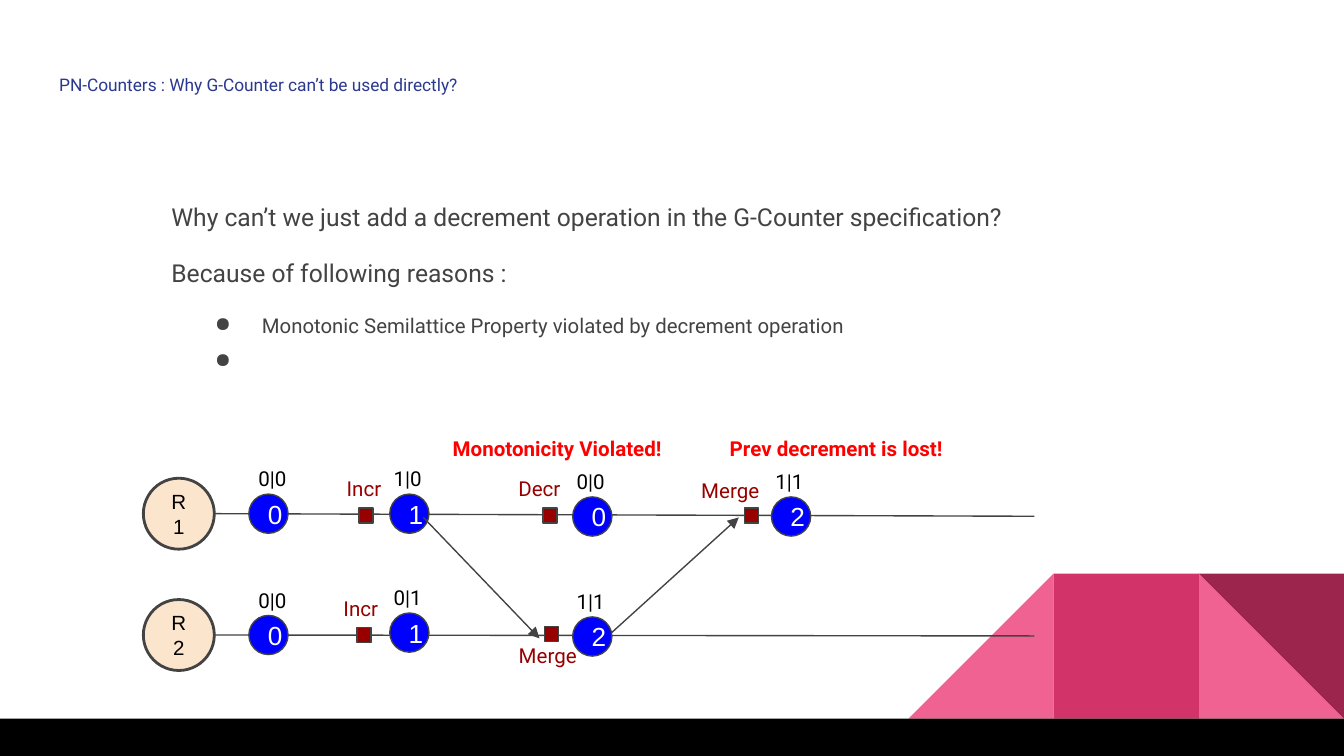
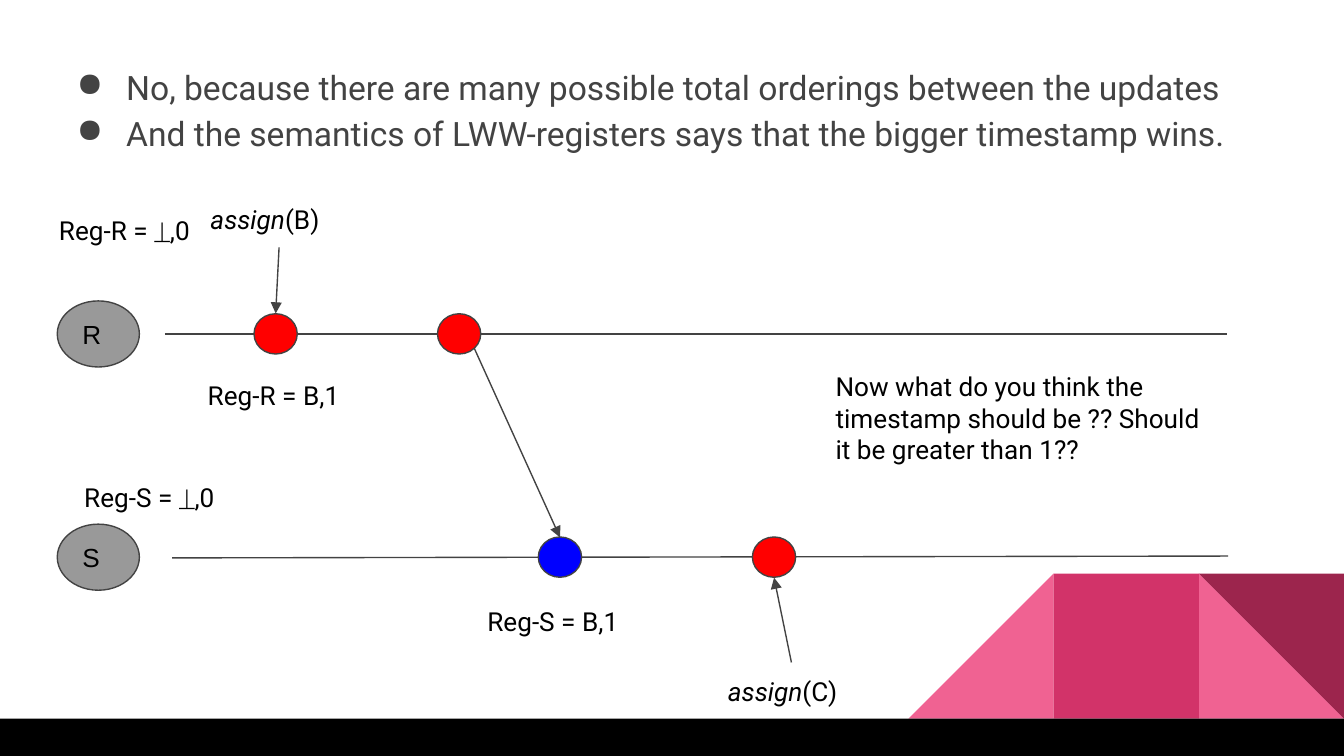
from lxml.etree import SubElement
from pptx import Presentation
from pptx.dml.color import RGBColor
from pptx.enum.shapes import MSO_CONNECTOR, MSO_SHAPE
from pptx.enum.text import MSO_ANCHOR, MSO_AUTO_SIZE, PP_ALIGN
from pptx.oxml.ns import qn
from pptx.util import Pt

WIDE, HIGH = 720, 405
PAD = 7.2
BLACK, WHITE, GREY = "000000", "FFFFFF", "434343"
RED, BLUE, WINE = "FF0000", "0000FF", "980000"
NAVY, PEACH, STONE = "2A3990", "FCE5CD", "999999"
PINK, ROSE, PLUM = "F06292", "D23369", "9C254D"


def tint(code):
    return RGBColor.from_string(code)


def style(run, size, hue, font="Roboto", bold=False, slant=False):
    run.font.size, run.font.name = Pt(size), font
    run.font.color.rgb = tint(hue)
    run.font.bold, run.font.italic = bold, slant


def inset(frame, right=PAD):
    frame.word_wrap = True
    frame.margin_left = frame.margin_top = frame.margin_bottom = Pt(PAD)
    frame.margin_right = Pt(right)


def shape(slide, kind, box, fill, edge=0):
    """Draw a preset shape; edge is the outline width, 0 for none."""
    item = slide.shapes.add_shape(kind, *map(Pt, box))
    item.shadow.inherit = False
    item.fill.solid()
    item.fill.fore_color.rgb = tint(fill)
    if edge:
        item.line.color.rgb = tint(GREY)
        item.line.width = Pt(edge)
    else:
        item.line.fill.background()
    return item


def disc(slide, mid, size, fill, text="", pen=(14, BLACK), edge=0.75,
         align=PP_ALIGN.CENTER, right=PAD):
    """Draw an ellipse about its centre, with an optional short name."""
    (x, y), (w, h) = mid, size
    item = shape(slide, MSO_SHAPE.OVAL, (x - w / 2, y - h / 2, w, h), fill, edge)
    if text:
        frame = item.text_frame
        inset(frame, right)
        frame.vertical_anchor = MSO_ANCHOR.MIDDLE
        frame.text = text
        frame.paragraphs[0].alignment = align
        style(frame.paragraphs[0].runs[0], *pen, font="Arial")


def line(slide, start, end, arrow=False):
    item = slide.shapes.add_connector(
        MSO_CONNECTOR.STRAIGHT, *map(Pt, start + end))
    item.line.color.rgb = tint(GREY)
    item.line.width = Pt(0.75)
    props = item.element.spPr
    if arrow:
        SubElement(props.find(qn("a:ln")), qn("a:tailEnd"), type="triangle")
    SubElement(props, qn("a:effectLst"))


def label(slide, box, text, size=11, hue=BLACK, bold=False, lead=""):
    """Write a one-paragraph text; lead is an italic start."""
    frame = slide.shapes.add_textbox(*map(Pt, box)).text_frame
    inset(frame)
    frame.auto_size = MSO_AUTO_SIZE.SHAPE_TO_FIT_TEXT
    para = frame.paragraphs[0]
    if lead:
        para.text = lead
        style(para.runs[0], size, hue, slant=True)
    run = para.add_run()
    run.text = text
    style(run, size, hue, bold=bold)


def body(slide, box, rows, size, space):
    frame = slide.shapes.add_textbox(*map(Pt, box)).text_frame
    inset(frame)
    frame.text = "\n".join(rows)
    for para in frame.paragraphs:
        para.line_spacing = space
        style(para.runs[0], size, GREY)
    return frame


def bullet(para, hang):
    props = para._p.get_or_add_pPr()
    props.set("marL", str(Pt(36)))
    props.set("indent", str(-Pt(hang)))
    SubElement(SubElement(props, qn("a:buClr")), qn("a:srgbClr"), val=GREY)
    SubElement(props, qn("a:buChar"), char="●")


def base(slide):
    """Draw the folded band in the corner and the black floor."""
    side, floor = 77.76, 385
    top = floor - side
    left, mid, right = (WIDE - n * side for n in (3, 2, 1))
    fold = MSO_SHAPE.RIGHT_TRIANGLE
    shape(slide, fold, (right, top, side, side), PINK)
    slope = shape(slide, fold, (left, top, side, side), PINK)
    slope.element.spPr.find(qn("a:xfrm")).set("flipH", "1")
    shape(slide, MSO_SHAPE.RECTANGLE, (mid, top, side, side), ROSE)
    shape(slide, fold, (right, top, side, side), PLUM).rotation = 180
    shape(slide, MSO_SHAPE.RECTANGLE, (0, floor, WIDE, HIGH - floor), BLACK)


def title(slide, box, text):
    item = slide.shapes.title
    item.left, item.top, item.width, item.height = map(Pt, box)
    frame = item.text_frame
    inset(frame)
    frame.auto_size = MSO_AUTO_SIZE.NONE
    frame.vertical_anchor = MSO_ANCHOR.TOP
    frame.text = text
    frame.paragraphs[0].alignment = PP_ALIGN.LEFT
    style(frame.paragraphs[0].runs[0], 9.3, NAVY)


def track(slide, x, y, name, drop, states, marks):
    """Draw a replica at (x, y), its time line, states and operations."""
    disc(slide, (x, y), (38, 38), PEACH, name, (11, BLACK), 1.5)
    line(slide, (x + 19, y), (x + 458.4, y + drop))
    for dx, dy, count, pair, shift in states:
        disc(slide, (x + dx, y + dy), (21, 21), BLUE, count, (14, WHITE), right=0)
        label(slide, (x + dx - shift, y + dy - 32, 43, 27.4), pair)
    for dx, dy, word, lx, ly in marks:
        shape(slide, MSO_SHAPE.FLOWCHART_PROCESS,
              (x + dx, y + dy, 7.5, 8), WINE, 0.75)
        wide = 55 if word == "Merge" else 43
        label(slide, (x + dx - lx, y + dy + ly, wide, 27.4), word, hue=WINE)


def merge(slide, x, y):
    """Draw both replicas, their messages and the two warnings."""
    track(slide, x, y, "R1", 1.4,
          [(48, 0, "0", "0|0", 12.5), (123.5, 0, "1", "1|0", 15.5),
           (221.5, 1.5, "0", "0|0", 15.5), (328, 1.5, "2", "1|1", 15.5)],
          [(96.5, -3, "Incr", 13.7, -23.8), (195, -3, "Decr", 20.2, -23.8),
           (303, -3, "Merge", 30.2, -23)])
    track(slide, x, y + 65, "R2", 0.5,
          [(48, 0, "0", "0|0", 12.5), (123.5, -1.3, "1", "0|1", 15.5),
           (221.5, 0.8, "2", "1|1", 15.5)],
          [(95.5, -4, "Incr", 14.4, -23.8), (196, -4.5, "Merge", 21, 2.2)])
    line(slide, (x + 131, y + 2), (x + 193.2, y + 66.8), True)
    line(slide, (x + 231.6, y + 64), (x + 300, y + 2), True)
    for dx, text in (139.6, "Monotonicity Violated!"), (288, "Prev decrement is lost!"):
        label(slide, (x + dx, y - 48.4, 137, 27.4), text, hue=RED, bold=True)


def count(deck):
    slide = deck.slides.add_slide(deck.slide_layouts[5])
    base(slide)
    title(slide, (24.5, 32.4, 671, 47.5),
          "PN-Counters : Why G-Counter can’t be used directly?")
    rows = ["Monotonic Semilattice Property violated by decrement operation", " "]
    for para in body(slide, (97.2, 154, 492, 57), rows, 10.9, 1.5).paragraphs:
        bullet(para, 25.2)
    rows = ["Why can’t we just add a decrement operation in the G-Counter specification?",
            "Because of following reasons :"]
    last = body(slide, (84.7, 98.5, 492, 63), rows, 13.2, 1.15).paragraphs[1]
    last.space_before = last.space_after = Pt(12)
    merge(slide, 95.8, 275.2)


def lane(slide, x, y, name, start, end, spots):
    """Draw a register at (x, y), its time line and its events."""
    line(slide, (x + start[0], y + start[1]), (x + end[0], y + end[1]))
    disc(slide, (x, y), (44, 35.4), STONE, name, align=PP_ALIGN.LEFT)
    for dx, hue in spots:
        disc(slide, (x + dx, y), (23.2, 21.6), hue)


def clock(slide, x, y):
    """Draw the two registers, the message and the notes beside them."""
    lane(slide, x, y, "R", (35.7, 0), (604.5, 0), [(95, RED), (193.3, RED)])
    lane(slide, x, y + 119.6, "S", (39.5, 0.4), (605.3, -0.6),
         [(247.3, BLUE), (362, RED)])
    for start, end in [((96.8, -46.3), (95, -11)),
                       ((201.3, 7.5), (247.3, 109)),
                       ((371.3, 176), (362, 130.6))]:
        line(slide, (x + start[0], y + start[1]), (x + end[0], y + end[1]), True)
    notes = [(53, -77.4, 88, "(B)", "assign"),
             (51.5, 17, 88, "Reg-R = B,1", ""),
             (201.3, 138, 88, "Reg-S = B,1", ""),
             (330.2, 176, 83, "(C)", "assign"),
             (-14.7, 71.7, 99, "Reg-S = ⏊,0", ""),
             (387.8, 12.5, 217, "Now what do you think the timestamp should be ?? "
              "Should it be greater than 1??", "")]
    for dx, dy, wide, text, lead in notes:
        label(slide, (x + dx, y + dy, wide, 31), text, 14, lead=lead)


def order(deck):
    slide = deck.slides.add_slide(deck.slide_layouts[6])
    base(slide)
    rows = ["No, because there are many possible total orderings between the updates",
            "And the semantics of LWW-registers says that the bigger timestamp wins.",
            "Reg-R = ⏊,0"]
    *points, last = body(slide, (24.5, 25.2, 671, 335), rows, 18, 1.15).paragraphs
    for para in points:
        bullet(para, 26.6)
    last.line_spacing, last.space_before = 1, Pt(33)
    style(last.runs[0], 14, BLACK)
    clock(slide, 52.7, 178.9)


def main():
    deck = Presentation()
    deck.slide_width, deck.slide_height = Pt(WIDE), Pt(HIGH)
    count(deck)
    order(deck)
    deck.save("out.pptx")


if __name__ == "__main__":
    main()
